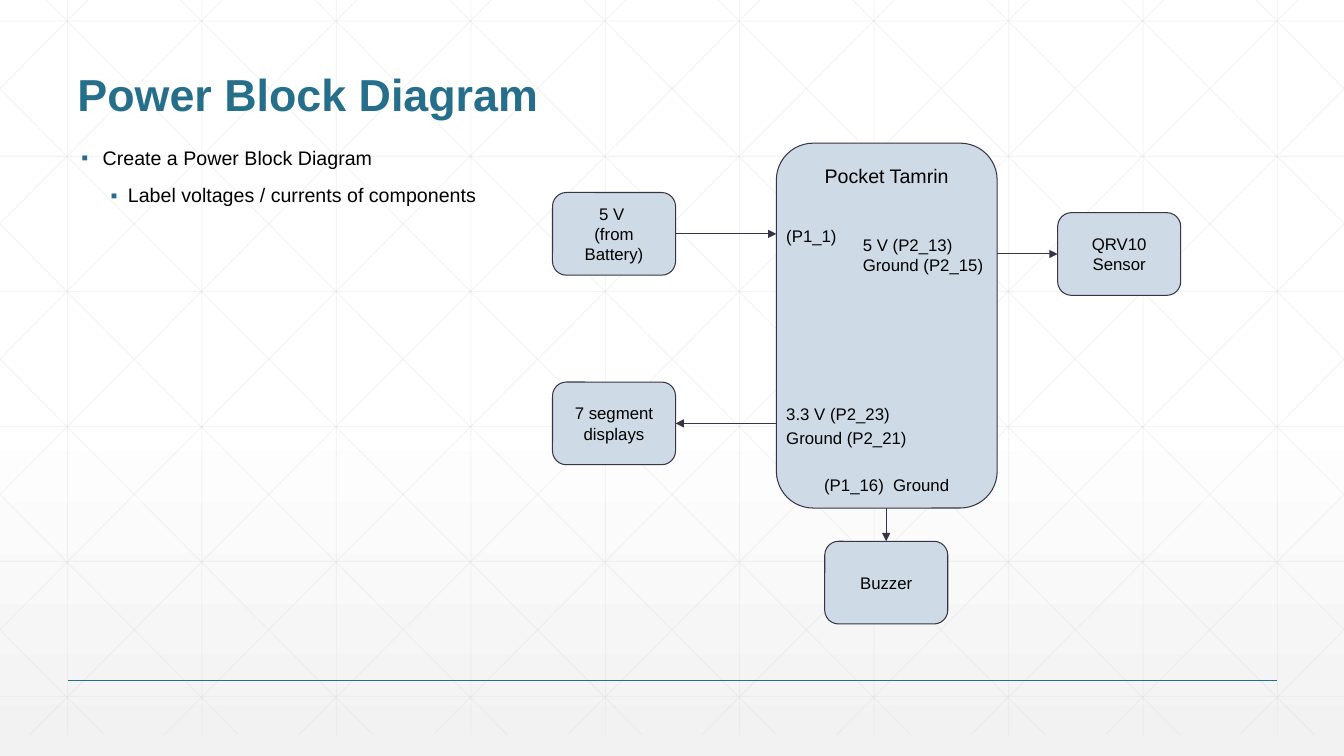
from dataclasses import dataclass

from lxml import etree
from pptx import Presentation
from pptx.dml.color import RGBColor
from pptx.enum.shapes import MSO_CONNECTOR, MSO_SHAPE
from pptx.enum.text import MSO_ANCHOR, PP_ALIGN
from pptx.oxml.ns import qn
from pptx.util import Inches, Pt

STRAIGHT = MSO_CONNECTOR.STRAIGHT
ROUNDED = MSO_SHAPE.ROUNDED_RECTANGLE
LEFT, CENTER = PP_ALIGN.LEFT, PP_ALIGN.CENTER
TOP, MIDDLE, BOTTOM = MSO_ANCHOR.TOP, MSO_ANCHOR.MIDDLE, MSO_ANCHOR.BOTTOM

FONT = "Arial"
TEAL, BLACK, DARK, PALE = "266F8B", "000000", "373545", "CEDBE6"
WIDTH, HEIGHT = 13.33, 7.5
LATTICE_TOP, LATTICE_BOTTOM = -0.21, 7.29
LATTICE_STEP = 4 / 3
BLOCK_WIDTH, BLOCK_HEIGHT = 1.22, 0.82


@dataclass(frozen=True)
class Block:
    left: float
    top: float
    lines: tuple[str, ...]
    width: float = BLOCK_WIDTH
    height: float = BLOCK_HEIGHT
    size: int = 12
    anchor: MSO_ANCHOR = MIDDLE


@dataclass(frozen=True)
class Label:
    left: float
    top: float
    width: float
    height: float
    lines: tuple[str, ...]
    size: int = 12
    color: str = BLACK
    bold: bool = False
    align: PP_ALIGN = LEFT
    anchor: MSO_ANCHOR = TOP
    spacing: float = 1.0
    inset: float = 0.1


@dataclass(frozen=True)
class Line:
    x1: float
    y1: float
    x2: float
    y2: float
    color: str = DARK
    weight: float = 0.75
    arrow: bool = False
    opacity: int = 100


@dataclass(frozen=True)
class Bullet:
    margin: float
    indent: float
    space_before: int


BLOCKS = [
    Block(7.7, 1.42, ("Pocket Tamrin",), 2.19, 3.62, 14, TOP),
    Block(10.49, 2.11, ("QRV10 Sensor",)),
    Block(5.48, 1.91, ("5 V ", "(from Battery)")),
    Block(8.18, 5.37, ("Buzzer",)),
    Block(5.48, 3.79, ("7 segment displays",)),
]
PIN_LABELS = [
    Label(8.46, 2.23, 1.43, 0.57, ("5 V (P2_13)", "Ground (P2_15)")),
    Label(7.7, 2.11, 1.53, 0.4, ("(P1_1)",), spacing=1.15),
    Label(7.9, 4.61, 1.79, 0.43, ("(P1_16)  Ground",), align=CENTER),
    Label(7.7, 3.88, 1.53, 0.64, ("3.3 V (P2_23)", "Ground (P2_21)"), spacing=1.15),
]
WIRES = [
    Line(9.89, 2.52, 10.49, 2.52, arrow=True),
    Line(6.7, 2.32, 7.7, 2.32, arrow=True),
    Line(8.79, 5.04, 8.79, 5.37, arrow=True),
    Line(7.7, 4.2, 6.7, 4.2, arrow=True),
]
TITLE = Label(0.67, 0.25, 12, 1, ("Power Block Diagram",), 32, TEAL, True,
              anchor=BOTTOM, spacing=0.9, inset=0.05)
TASKS = Label(0.67, 1.42, 4.57, 1.24,
              ("Create a Power Block Diagram", "Label voltages / currents of components"),
              14, spacing=0.9, inset=0.05)
TASK_BULLETS = [Bullet(0.25, -0.21, 0), Bullet(0.5, -0.17, 12)]


def rgb(color: str) -> RGBColor:
    return RGBColor.from_string(color)


def write_text(frame, lines, size, color=BLACK, bold=False, align=CENTER,
               anchor=MIDDLE, spacing=1.0, inset=0.1) -> None:
    frame.word_wrap = True
    frame.vertical_anchor = anchor
    frame.margin_left = frame.margin_right = Inches(0.1)
    frame.margin_top = frame.margin_bottom = Inches(inset)
    for index, text in enumerate(lines):
        paragraph = frame.add_paragraph() if index else frame.paragraphs[0]
        paragraph.alignment = align
        paragraph.line_spacing = spacing
        run = paragraph.add_run()
        run.text = text
        run.font.name = FONT
        run.font.size = Pt(size)
        run.font.bold = bold
        run.font.color.rgb = rgb(color)


def add_block(shapes, block: Block) -> None:
    shape = shapes.add_shape(ROUNDED, Inches(block.left), Inches(block.top),
                             Inches(block.width), Inches(block.height))
    shape.adjustments[0] = 0.167
    shape.shadow.inherit = False
    shape.fill.solid()
    shape.fill.fore_color.rgb = rgb(PALE)
    shape.line.color.rgb = rgb(DARK)
    shape.line.width = Pt(0.75)
    write_text(shape.text_frame, block.lines, block.size, anchor=block.anchor)


def add_label(shapes, label: Label):
    box = shapes.add_textbox(Inches(label.left), Inches(label.top),
                             Inches(label.width), Inches(label.height))
    write_text(box.text_frame, label.lines, label.size, label.color, label.bold,
               label.align, label.anchor, label.spacing, label.inset)
    return box.text_frame


def add_line(shapes, line: Line) -> None:
    connector = shapes.add_connector(STRAIGHT, Inches(line.x1), Inches(line.y1),
                                     Inches(line.x2), Inches(line.y2))
    connector.line.color.rgb = rgb(line.color)
    connector.line.width = Pt(line.weight)
    properties = connector._element.spPr
    outline = properties.find(qn("a:ln"))
    if line.opacity < 100:
        color = outline.find(".//" + qn("a:srgbClr"))
        etree.SubElement(color, qn("a:alpha"), val=str(line.opacity * 1000))
    if line.arrow:
        etree.SubElement(outline, qn("a:tailEnd"), type="triangle")
    etree.SubElement(properties, qn("a:effectLst"))


def add_bullet(paragraph, bullet: Bullet) -> None:
    paragraph.space_before = Pt(bullet.space_before)
    properties = paragraph._p.get_or_add_pPr()
    properties.set("marL", str(Inches(bullet.margin)))
    properties.set("indent", str(Inches(bullet.indent)))
    color = etree.SubElement(properties, qn("a:buClr"))
    etree.SubElement(color, qn("a:srgbClr"), val=TEAL)
    etree.SubElement(properties, qn("a:buFont"), typeface=FONT)
    etree.SubElement(properties, qn("a:buChar"), char="▪")


def lattice_lines() -> list[tuple[float, float, float, float]]:
    """Verticals, horizontals and mirrored diagonals, cut at the slide's sides."""
    lines = []
    for column in range(10):
        x = 0.67 + column * LATTICE_STEP
        lines.append((x, LATTICE_TOP, x, LATTICE_BOTTOM))
    for row in range(6):
        y = 0.21 + row * 1.34
        lines.append((0, y, WIDTH, y))
    run = 7.45
    slope = (LATTICE_BOTTOM - LATTICE_TOP) / run
    for step in range(-5, 10):
        start = 0.25 + step * LATTICE_STEP
        x1, x2 = max(start, 0), min(start + run, WIDTH)
        y1, y2 = (LATTICE_TOP + (x - start) * slope for x in (x1, x2))
        lines.append((x1, y1, x2, y2))
        lines.append((WIDTH - x1, y1, WIDTH - x2, y2))
    return lines


def paint_background(slide) -> None:
    fill = slide.background.fill
    fill.gradient()
    fill.gradient_angle = 270
    for stop, position, color in zip(fill.gradient_stops, (0.53, 1), ("FFFFFF", "F2F2F2")):
        stop.position = position
        stop.color.rgb = rgb(color)


def main() -> None:
    presentation = Presentation()
    presentation.slide_width = Inches(WIDTH)
    presentation.slide_height = Inches(HEIGHT)
    slide = presentation.slides.add_slide(presentation.slide_layouts[6])
    shapes = slide.shapes
    paint_background(slide)
    lattice = shapes.add_group_shape().shapes
    for ends in lattice_lines():
        add_line(lattice, Line(*ends, color="D8D8D8", opacity=25))
    add_line(shapes, Line(0.67, 6.75, 12.67, 6.75, TEAL, 1))
    add_label(shapes, TITLE)
    tasks = add_label(shapes, TASKS)
    for paragraph, bullet in zip(tasks.paragraphs, TASK_BULLETS):
        add_bullet(paragraph, bullet)
    for block in BLOCKS:
        add_block(shapes, block)
    for label in PIN_LABELS:
        add_label(shapes, label)
    for wire in WIRES:
        add_line(shapes, wire)
    presentation.save("out.pptx")


if __name__ == "__main__":
    main()
